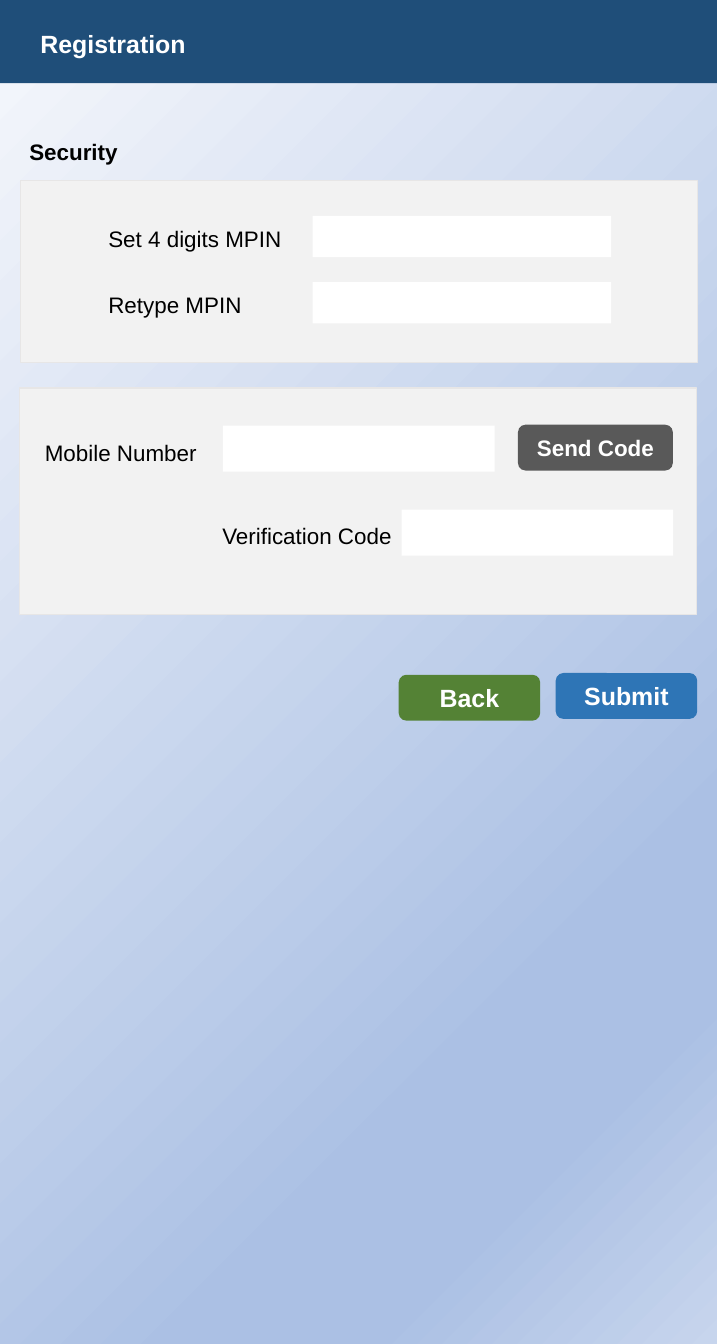
from lxml import etree
from pptx import Presentation
from pptx.dml.color import RGBColor
from pptx.enum.shapes import MSO_SHAPE
from pptx.enum.text import MSO_ANCHOR, MSO_AUTO_SIZE, PP_ALIGN
from pptx.oxml import parse_xml
from pptx.oxml.ns import nsdecls, qn
from pptx.util import Cm, Pt

NAVY = RGBColor(0x1F, 0x4E, 0x79)
BLUE = RGBColor(0x2E, 0x75, 0xB6)
GREEN = RGBColor(0x54, 0x82, 0x35)
GREY = RGBColor(0x59, 0x59, 0x59)
PANEL = RGBColor(0xF2, 0xF2, 0xF2)
PANEL_EDGE = RGBColor(0xE7, 0xE6, 0xE6)
WHITE = RGBColor(0xFF, 0xFF, 0xFF)
BLACK = RGBColor(0x00, 0x00, 0x00)

BACKGROUND_STOPS = [(0, "F6F8FC"), (74, "ABC0E4"), (83, "ABC0E4"), (100, "C7D5ED")]
FONT = "Arial"
LABEL_SIZE = 18
HEADING_SIZE = 20
LINE_HEIGHT = 1.02


class FormScreen:
    """Style and drawing methods for one form screen; lengths are in cm."""

    def __init__(self, slide):
        self.slide = slide

    def background(self, stops):
        fill = self.slide.background.fill
        fill.solid()
        solid = self.slide.background._cSld.bg.bgPr.find(qn("a:solidFill"))
        gradient = parse_xml(
            f'<a:gradFill {nsdecls("a")} rotWithShape="1"><a:gsLst/>'
            '<a:path path="circle"><a:fillToRect r="100000" b="100000"/></a:path>'
            "</a:gradFill>"
        )
        for percent, colour in stops:
            stop = etree.SubElement(gradient[0], qn("a:gs"), pos=str(percent * 1000))
            etree.SubElement(stop, qn("a:srgbClr"), val=colour)
        solid.getparent().replace(solid, gradient)

    def set_text(self, frame, text, size, colour, bold, align=PP_ALIGN.LEFT):
        frame.text = text
        frame.word_wrap = True
        paragraph = frame.paragraphs[0]
        paragraph.alignment = align
        font = paragraph.runs[0].font
        font.name, font.size, font.bold = FONT, Pt(size), bold
        font.color.rgb = colour

    def box(self, left, top, width, height, fill, edge=None, kind=MSO_SHAPE.RECTANGLE):
        shape = self.slide.shapes.add_shape(kind, Cm(left), Cm(top), Cm(width), Cm(height))
        shape.shadow.inherit = False
        shape.fill.solid()
        shape.fill.fore_color.rgb = fill
        if edge is None:
            shape.line.fill.background()
        else:
            shape.line.color.rgb = edge
            shape.line.width = Pt(1)
        return shape

    def panel(self, left, top, width, height):
        self.box(left, top, width, height, PANEL, PANEL_EDGE)

    def field(self, left, top, width, height):
        self.box(left, top, width, height, WHITE)

    def button(self, text, left, top, width, fill, size):
        button = self.box(left, top, width, 1.3, fill, kind=MSO_SHAPE.ROUNDED_RECTANGLE)
        button.text_frame.vertical_anchor = MSO_ANCHOR.MIDDLE
        self.set_text(button.text_frame, text, size, WHITE, True, PP_ALIGN.CENTER)

    def label(self, text, left, top, width=6.05, bold=False):
        label = self.slide.shapes.add_textbox(Cm(left), Cm(top), Cm(width), Cm(LINE_HEIGHT))
        self.set_text(label.text_frame, text, LABEL_SIZE, BLACK, bold)

    def header(self, text):
        bar = self.box(0, 0, 20.32, 2.36, NAVY)
        title = self.slide.shapes.title
        title.left, title.top = Cm(0.89), Cm(0.69)
        title.width, title.height = Cm(13.49), Cm(1.12)
        self.set_text(title.text_frame, text, HEADING_SIZE, WHITE, True)
        title.text_frame.vertical_anchor = MSO_ANCHOR.TOP
        title.text_frame.auto_size = MSO_AUTO_SIZE.NONE
        # The title sits in front of its bar
        bar._element.addnext(title._element)


def main():
    prs = Presentation()
    prs.slide_width, prs.slide_height = Cm(20.32), Cm(38.1)
    screen = FormScreen(prs.slides.add_slide(prs.slide_layouts[5]))
    screen.background(BACKGROUND_STOPS)
    screen.header("Registration")

    # Security: PIN entry
    screen.label("Security", 0.58, 3.78, width=11.25, bold=True)
    screen.panel(0.58, 5.11, 19.18, 5.16)
    for row, caption in enumerate(["Set 4 digits MPIN", "Retype MPIN"]):
        offset = row * 1.88
        screen.label(caption, 2.82, 6.25 + offset)
        screen.field(8.86, 6.12 + offset, 8.46, 1.17)

    # Mobile number and its verification
    screen.panel(0.56, 11, 19.18, 6.43)
    screen.label("Mobile Number", 1.02, 12.32)
    screen.field(6.32, 12.07, 7.7, 1.3)
    screen.button("Send Code", 14.68, 12.04, 4.39, GREY, LABEL_SIZE)
    screen.label("Verification Code", 6.05, 14.68)
    screen.field(11.38, 14.45, 7.7, 1.3)

    # Form actions
    screen.button("Back", 11.3, 19.13, 4.01, GREEN, HEADING_SIZE)
    screen.button("Submit", 15.75, 19.08, 4.01, BLUE, HEADING_SIZE)

    prs.save("out.pptx")


if __name__ == "__main__":
    main()
